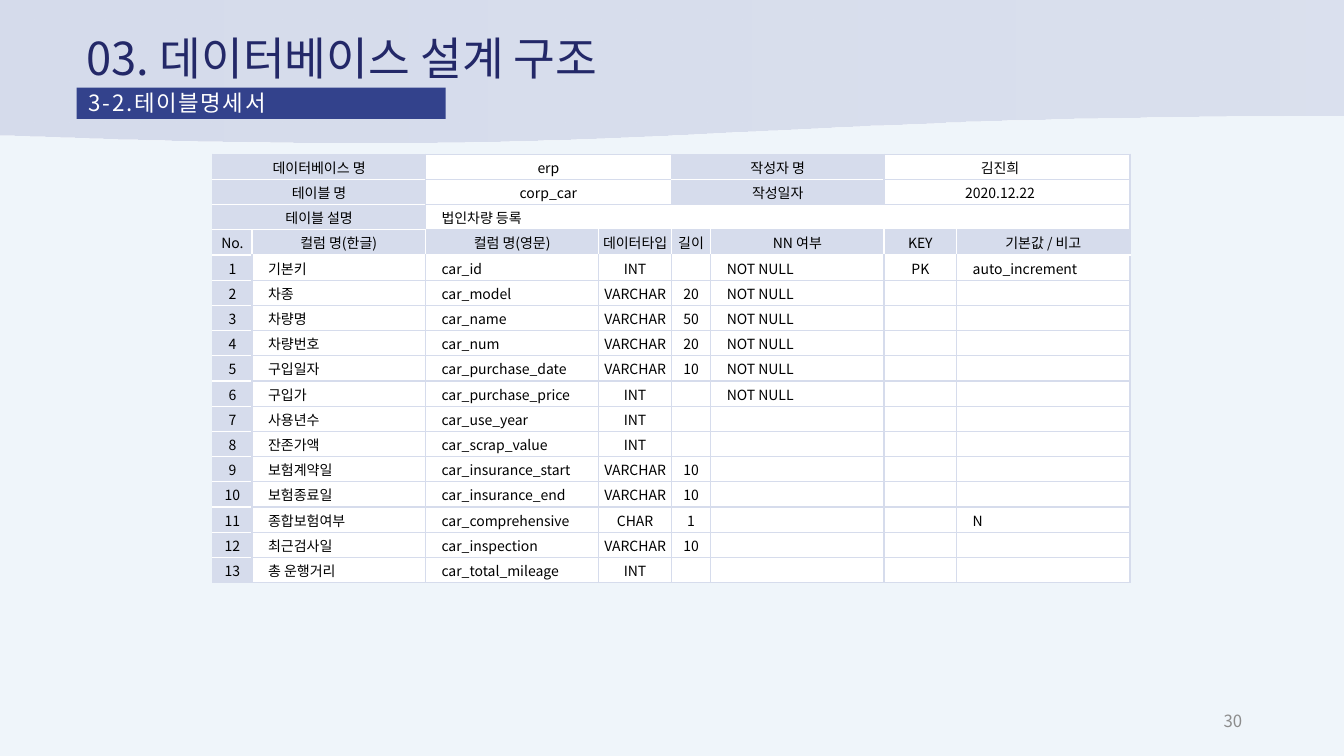
import pptx
import pptx.util
import pptx.dml.color
import pptx.enum.shapes
import pptx.enum.text
import pptx.oxml.ns
import lxml.etree

Inches = pptx.util.Inches
ALIGN = pptx.enum.text.PP_ALIGN
ANCHOR = pptx.enum.text.MSO_ANCHOR
SHAPE = pptx.enum.shapes.MSO_SHAPE
FONT = "Noto Sans CJK KR"
LAVENDER, WHITE, BLACK = "D6DCEC", "FFFFFF", "000000"

COLUMN_WIDTHS = [0.39, 1.72, 1.72, 0.72, 0.39, 1.72, 0.72, 1.72]
ROW_HEIGHT = 0.25
CENTRED_COLUMNS = {0, 3, 4, 6}
HEADER_ROW = 3

# Rows above the header: (text, columns spanned, is label)
SUMMARY = [
    [("데이터베이스 명", 2, True), ("erp", 2, False),
     ("작성자 명", 2, True), ("김진희　", 2, False)],
    [("테이블 명", 2, True), ("corp_car", 2, False),
     ("작성일자", 2, True), ("2020.12.22　", 2, False)],
    [("테이블 설명", 2, True), ("법인차량 등록", 6, False)],
]
HEADER = ["No.", "컬럼 명(한글)", "컬럼 명(영문)", "데이터타입", "길이",
          "NN 여부", "KEY", "기본값 / 비고"]
FIELDS = [
    ("기본키", "car_id", "INT", "", "NOT NULL", "PK", "auto_increment"),
    ("차종", "car_model", "VARCHAR", "20", "NOT NULL", "", ""),
    ("차량명", "car_name", "VARCHAR", "50", "NOT NULL", "", ""),
    ("차량번호", "car_num", "VARCHAR", "20", "NOT NULL", "", ""),
    ("구입일자", "car_purchase_date", "VARCHAR", "10", "NOT NULL", "", ""),
    ("구입가", "car_purchase_price", "INT", "", "NOT NULL", "", ""),
    ("사용년수", "car_use_year", "INT", "", "", "", ""),
    ("잔존가액", "car_scrap_value", "INT", "", "", "", ""),
    ("보험계약일", "car_insurance_start", "VARCHAR", "10", "", "", ""),
    ("보험종료일", "car_insurance_end", "VARCHAR", "10", "", "", ""),
    ("종합보험여부", "car_comprehensive", "CHAR", "1", "", "", "N"),
    ("최근검사일", "car_inspection", "VARCHAR", "10", "", "", ""),
    ("총 운행거리", "car_total_mileage", "INT", "", "", "", ""),
]


def color(value):
    return pptx.dml.color.RGBColor.from_string(value)


def add_element(parent, tag, **attributes):
    return lxml.etree.SubElement(parent, pptx.oxml.ns.qn(tag), **attributes)


def set_margins(target, left, top, right, bottom):
    target.margin_left, target.margin_top = Inches(left), Inches(top)
    target.margin_right, target.margin_bottom = Inches(right), Inches(bottom)


def add_span(para, text, size, text_color):
    span = para.add_run()
    span.text = text
    span.font.size = pptx.util.Pt(size)
    span.font.color.rgb = color(text_color)
    span.font.name = FONT
    add_element(span.font._element, "a:ea", typeface=FONT)
    return span


def add_text(page, place, text, size, text_color, align):
    box = page.shapes.add_textbox(*map(Inches, place))
    frame = box.text_frame
    frame.word_wrap = True
    frame.vertical_anchor = ANCHOR.MIDDLE
    para = frame.paragraphs[0]
    para.alignment = align
    add_span(para, text, size, text_color)


def add_plain_shape(page, kind, place):
    shape = page.shapes.add_shape(kind, *map(Inches, place))
    shape.shadow.inherit = False
    shape.line.fill.background()
    return shape


def add_header_wave(page):
    wave = add_plain_shape(page, SHAPE.FLOWCHART_DOCUMENT, (0, 0, 13.33, 1.43))
    wave.fill.gradient()
    wave.fill.gradient_angle = 0
    for stop, position in zip(wave.fill.gradient_stops, (0, 1)):
        stop.color.rgb = color(LAVENDER)
        stop.position = position
    last_color = wave._element.spPr.findall(".//" + pptx.oxml.ns.qn("a:srgbClr"))[-1]
    add_element(last_color, "a:alpha", val="80000")


def add_subtitle_bar(page, text):
    bar = add_plain_shape(page, SHAPE.RECTANGLE, (0.76, 0.87, 3.66, 0.31))
    bar.fill.solid()
    bar.fill.fore_color.rgb = color("33428C")
    frame = bar.text_frame
    frame.word_wrap = True
    frame.vertical_anchor = ANCHOR.TOP
    set_margins(frame, 0.12, 0.04, 0.12, 0.05)
    para = frame.paragraphs[0]
    para.alignment = ALIGN.JUSTIFY
    para.line_spacing = 0.9
    add_span(para, text, 16, WHITE).font._element.set("spc", "120")


def style_cell(cell, fill, borders):
    properties = cell._tc.get_or_add_tcPr()
    for side in "LRTB":
        line = add_element(properties, "a:ln" + side, w="12700")
        paint = add_element(line, "a:solidFill")
        add_element(paint, "a:srgbClr", val=borders[side])
    cell.fill.solid()
    cell.fill.fore_color.rgb = color(fill)


def write_cell(cell, text, centred):
    cell.vertical_anchor = ANCHOR.MIDDLE
    set_margins(cell, 0.01 if centred else 0.16, 0.01, 0.01, 0)
    para = cell.text_frame.paragraphs[0]
    para.alignment = ALIGN.CENTER if centred else ALIGN.LEFT
    if text:
        add_span(para, text, 10, BLACK)
    else:
        add_element(para._p, "a:endParaRPr", sz="1000")


def table_entries():
    """List (row, column, columns spanned, text, is label, centred)."""
    entries = []
    for row, cells in enumerate(SUMMARY):
        column = 0
        for text, span, label in cells:
            entries.append((row, column, span, text, label, span == 2))
            column += span
    for column, text in enumerate(HEADER):
        entries.append((HEADER_ROW, column, 1, text, True, True))
    for number, field in enumerate(FIELDS, 1):
        for column, text in enumerate((str(number), *field)):
            entries.append((HEADER_ROW + number, column, 1, text, column == 0,
                            column in CENTRED_COLUMNS))
    return entries


def add_specification_table(page):
    row_count = HEADER_ROW + 1 + len(FIELDS)
    frame = page.shapes.add_table(
        row_count, len(COLUMN_WIDTHS), Inches(2.11), Inches(1.53),
        Inches(sum(COLUMN_WIDTHS)), Inches(row_count * ROW_HEIGHT))
    table = frame.table
    table.first_row = table.horz_banding = False
    for column, width in zip(table.columns, COLUMN_WIDTHS):
        column.width = Inches(width)
    for row in table.rows:
        row.height = Inches(ROW_HEIGHT)

    entries = table_entries()
    labels = {(row, column + step) for row, column, span, _, label, _ in entries
              if label for step in range(span)}

    def edge(first, second):
        # White between two labels and below the header, lavender elsewhere
        below_header = (first[0], second[0]) == (HEADER_ROW, HEADER_ROW + 1)
        return WHITE if below_header or {first, second} <= labels else LAVENDER

    for row, column, span, text, label, centred in entries:
        here = (row, column)
        borders = {"L": edge((row, column - 1), here),
                   "R": edge(here, (row, column + span)),
                   "T": edge((row - 1, column), here),
                   "B": edge(here, (row + 1, column))}
        for step in range(span):
            style_cell(table.cell(row, column + step),
                       LAVENDER if label else WHITE, borders)
        cell = table.cell(row, column)
        if span > 1:
            cell.merge(table.cell(row, column + span - 1))
        write_cell(cell, text, centred)


def main():
    deck = pptx.Presentation()
    deck.slide_width, deck.slide_height = Inches(13.33), Inches(7.5)
    page = deck.slides.add_slide(deck.slide_layouts[6])
    page.background.fill.solid()
    page.background.fill.fore_color.rgb = color("EFF5FA")

    # Backdrop and page number
    add_header_wave(page)
    add_text(page, (9.42, 6.95, 3, 0.4), "30", 12, "8C8C8C", ALIGN.RIGHT)

    # Table specification
    add_specification_table(page)

    # Headings
    add_text(page, (0.76, 0.28, 8.55, 0.58), "03. 데이터베이스 설계 구조",
             32.4, "232868", ALIGN.LEFT)
    add_subtitle_bar(page, "3-2.테이블명세서")

    deck.save("out.pptx")


if __name__ == "__main__":
    main()
